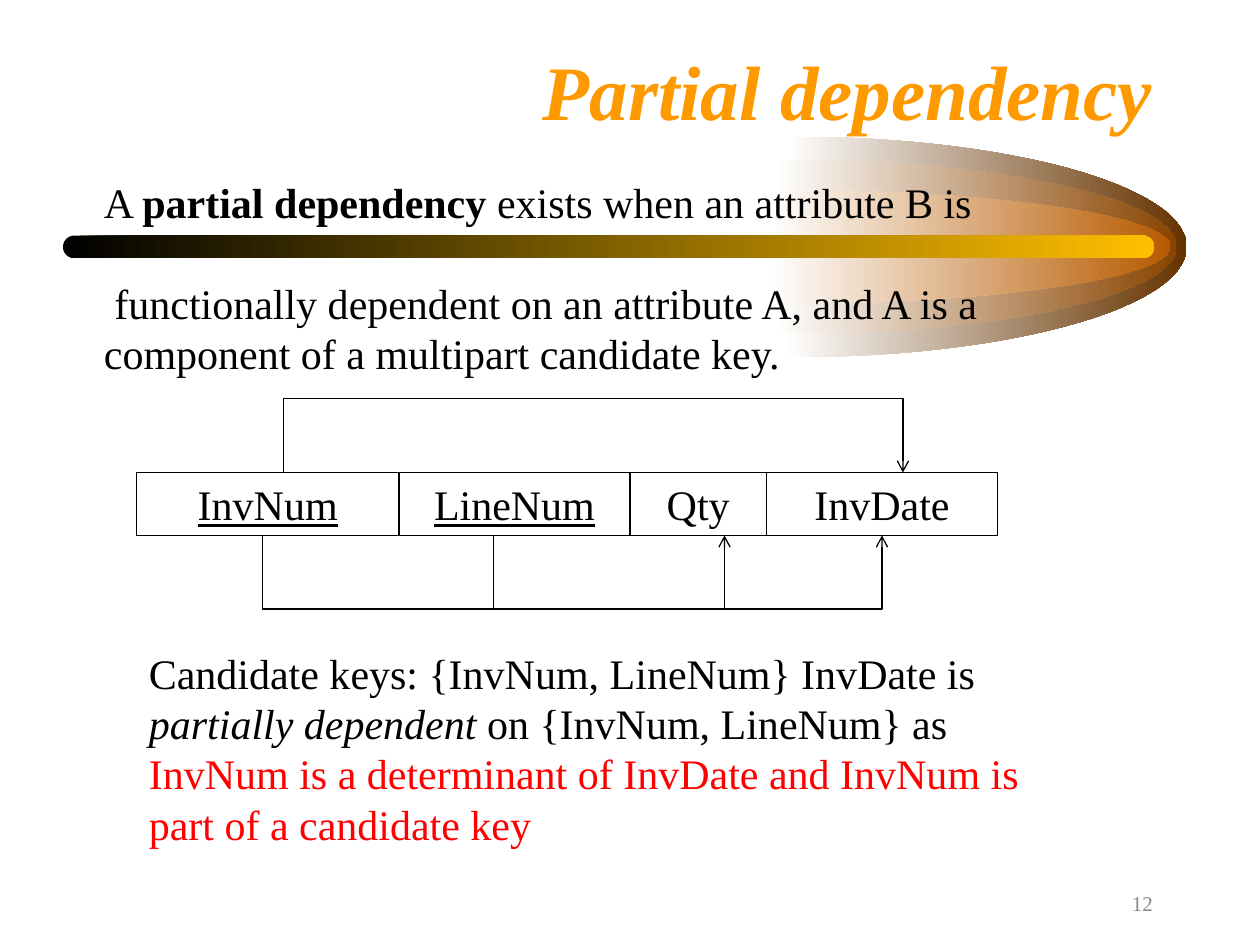
from lxml import etree
from pptx import Presentation
from pptx.dml.color import RGBColor
from pptx.enum.shapes import MSO_SHAPE
from pptx.enum.text import MSO_ANCHOR, PP_ALIGN
from pptx.oxml.ns import qn
from pptx.util import Pt

LEFT, CENTER, RIGHT = PP_ALIGN.LEFT, PP_ALIGN.CENTER, PP_ALIGN.RIGHT
TOP, MIDDLE, BOTTOM = MSO_ANCHOR.TOP, MSO_ANCHOR.MIDDLE, MSO_ANCHOR.BOTTOM
RECTANGLE, ROUNDED = MSO_SHAPE.RECTANGLE, MSO_SHAPE.ROUNDED_RECTANGLE

FONT = "Times New Roman"
BODY_LINE = 28.8
BLACK, RED, ORANGE, GRAY = "000000", "FF0000", "FF9900", "898989"

# Half ellipses: centre x, height, end colour
GLOW_MIDDLE, GLOW_RADIUS, GLOW_TAIL = 141.1, 225.2, 3.6
GLOWS = [(452.9, 126, "663300"), (447.1, 99.8, "894400"), (443.5, 65.2, "B75B00")]
ELLIPSE_HANDLE = 0.55

ROW_LEFT, ROW_TOP, ROW_HEIGHT = 78, 270, 36
ATTRIBUTES = [("InvNum", 150, True), ("LineNum", 132, True),
              ("Qty", 78, False), ("InvDate", 132, False)]

# Dependency arrows: start x, end x, y at the row, y of the far run
ROW_BOTTOM = ROW_TOP + ROW_HEIGHT
DEPENDENCIES = [
    (282, 414, ROW_BOTTOM, ROW_BOTTOM + 42),
    (150, 504, ROW_BOTTOM, ROW_BOTTOM + 42),
    (162, 516, ROW_TOP, ROW_TOP - 42.1),
]

DEFINITION = [
    [("A ", {}), ("partial dependency", {"bold": True}),
     (" exists when an attribute B is", {})],
    [(" functionally dependent on an attribute A, and A is a component"
      " of a multipart candidate key.", {})],
]
EXPLANATION = [
    [("Candidate keys: {InvNum, LineNum} InvDate is ", {}),
     ("partially dependent", {"italic": True}),
     (" on {InvNum, LineNum} as ", {}),
     ("InvNum is a determinant of InvDate and InvNum is part of a"
      " candidate key", {"color": RED})],
]


def rgb(color):
    return RGBColor.from_string(color)


def fill_gradient(shape, start, end):
    """Fill from left to right, without outline or shadow."""
    shape.shadow.inherit = False
    shape.line.fill.background()
    shape.fill.gradient()
    shape.fill.gradient_angle = 0
    for stop, position, color in zip(shape.fill.gradient_stops, (0, 1), (start, end)):
        stop.position = position
        stop.color.rgb = rgb(color)


def outline(shape):
    shape.shadow.inherit = False
    shape.fill.background()
    shape.line.color.rgb = rgb(BLACK)
    shape.line.width = Pt(0.75)


def add_polyline(slide, points, close):
    points = [(Pt(x), Pt(y)) for x, y in points]
    builder = slide.shapes.build_freeform(*points[0])
    builder.add_line_segments(points[1:], close=close)
    return builder.convert_to_shape()


def bend_segment(segment, first_handle, second_handle):
    """Turn a line segment of a freeform into a cubic curve."""
    segment.tag = qn("a:cubicBezTo")
    for index, (x, y) in enumerate((first_handle, second_handle)):
        handle = etree.Element(qn("a:pt"), x=str(round(x)), y=str(round(y)))
        segment.insert(index, handle)


def add_glow(slide, center, height, color):
    top, bottom = GLOW_MIDDLE - height / 2, GLOW_MIDDLE + height / 2
    glow = add_polyline(slide, [
        (center, top), (center + GLOW_RADIUS, GLOW_MIDDLE), (center, bottom),
        (center - GLOW_TAIL, bottom), (center, GLOW_MIDDLE)], True)
    upper, lower = list(glow._element.iter(qn("a:lnTo")))[:2]
    near = Pt(GLOW_TAIL + ELLIPSE_HANDLE * GLOW_RADIUS)
    far, full = glow.width, glow.height
    rise = full / 2 * (1 - ELLIPSE_HANDLE)
    bend_segment(upper, (near, 0), (far, rise))
    bend_segment(lower, (far, full - rise), (near, full))
    fill_gradient(glow, "FFFFFF", color)


def add_bar(slide):
    bar = slide.shapes.add_shape(ROUNDED, Pt(36), Pt(134.6), Pt(623.5), Pt(13))
    bar.adjustments[0] = 0.5
    fill_gradient(bar, BLACK, "FFBF00")


def write(shape, paragraphs, size=24, align=LEFT, anchor=TOP, line=None, gap=0):
    """Write paragraphs given as lists of (text, style) runs."""
    frame = shape.text_frame
    frame.word_wrap = True
    frame.vertical_anchor = anchor
    for index, runs in enumerate(paragraphs):
        paragraph = frame.add_paragraph() if index else frame.paragraphs[0]
        paragraph.alignment = align
        if line:
            paragraph.line_spacing = Pt(line)
        if index:
            paragraph.space_before = Pt(gap)
        for text, style in runs:
            run = paragraph.add_run()
            run.text = text
            font = run.font
            font.name, font.size = FONT, Pt(size)
            font.color.rgb = rgb(style.get("color", BLACK))
            font.bold = style.get("bold", False)
            font.italic = style.get("italic", False)
            font.underline = style.get("underline", False)


def add_text(slide, left, top, width, height, paragraphs, **layout):
    box = slide.shapes.add_textbox(Pt(left), Pt(top), Pt(width), Pt(height))
    write(box, paragraphs, **layout)


def add_attributes(slide):
    left = ROW_LEFT
    for name, width, is_key in ATTRIBUTES:
        cell = slide.shapes.add_shape(
            RECTANGLE, Pt(left), Pt(ROW_TOP), Pt(width), Pt(ROW_HEIGHT))
        outline(cell)
        write(cell, [[(name, {"underline": is_key})]], align=CENTER, line=BODY_LINE)
        left += width


def add_dependency(slide, start, end, near, far):
    points = [(start, near), (start, far), (end, far), (end, near)]
    arrow = add_polyline(slide, points, False)
    outline(arrow)
    line = arrow._element.spPr.find(qn("a:ln"))
    etree.SubElement(line, qn("a:tailEnd"), type="arrow")


def main():
    presentation = Presentation()
    presentation.slide_width, presentation.slide_height = Pt(720), Pt(540)
    slide = presentation.slides.add_slide(presentation.slide_layouts[6])

    for glow in GLOWS:
        add_glow(slide, *glow)
    add_bar(slide)

    title_style = {"color": ORANGE, "bold": True, "italic": True}
    add_text(slide, 53.9, 30, 612, 51, [[("Partial dependency", title_style)]],
             size=44, align=RIGHT, anchor=BOTTOM)
    add_text(slide, 515.9, 498, 150, 36, [[("12", {"color": GRAY})]],
             size=12, align=RIGHT, anchor=MIDDLE)
    add_text(slide, 52.3, 97.2, 594, 122.4, DEFINITION,
             line=BODY_LINE, gap=BODY_LINE)

    add_attributes(slide)
    for dependency in DEPENDENCIES:
        add_dependency(slide, *dependency)
    add_text(slide, 78, 366.2, 546, 122.4, EXPLANATION, line=BODY_LINE)

    presentation.save("out.pptx")


if __name__ == "__main__":
    main()
